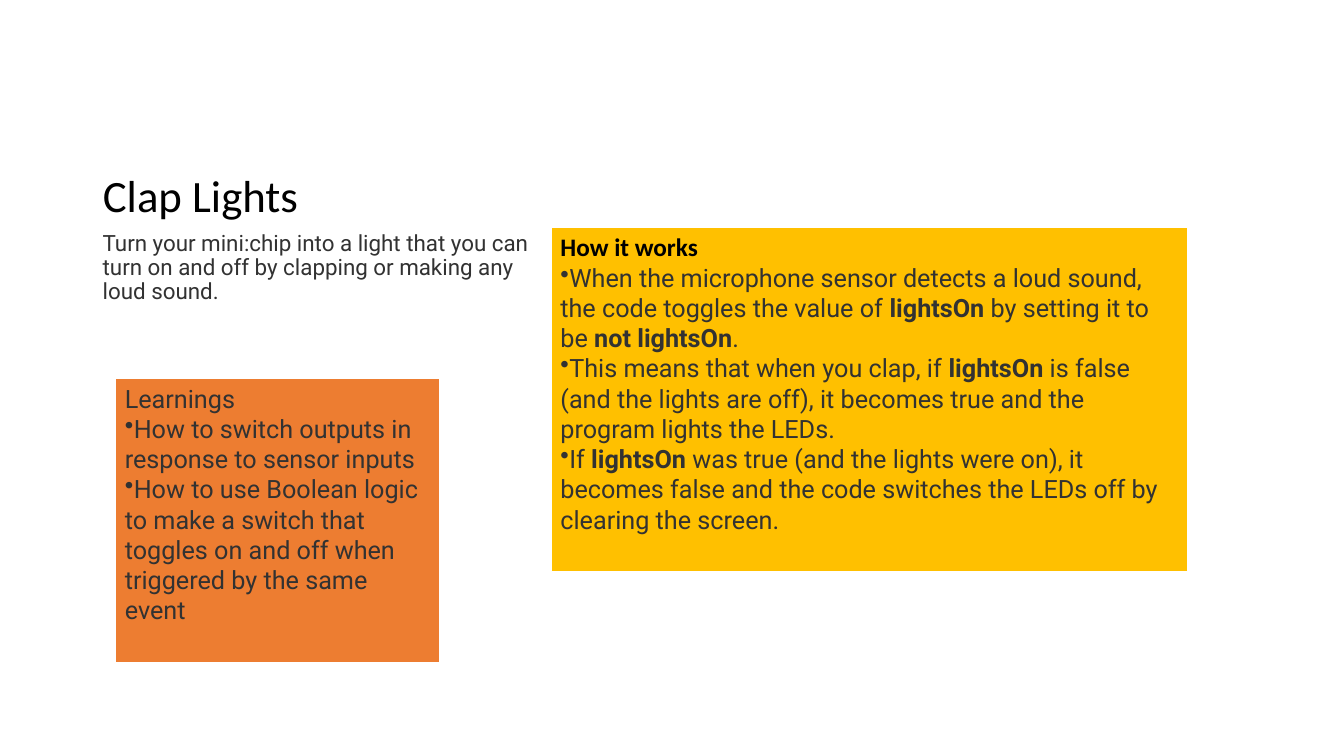
from pptx import Presentation
from pptx.dml.color import RGBColor
from pptx.enum.shapes import MSO_SHAPE
from pptx.enum.text import MSO_ANCHOR, MSO_AUTO_SIZE, PP_ALIGN
from pptx.oxml.ns import qn
from pptx.util import Pt
from lxml import etree

RECTANGLE = MSO_SHAPE.RECTANGLE
TOP, BOTTOM = MSO_ANCHOR.TOP, MSO_ANCHOR.BOTTOM
NO_AUTOFIT = MSO_AUTO_SIZE.NONE
LEFT = PP_ALIGN.LEFT

EMU_PER_PX = 9144  # 100 px to the inch
TITLE_ONLY = 5
HEADING_FONT, BODY_FONT = "Calibri", "Roboto"
BLACK, DARK_GREY, WHITE = "000000", "323232", "FFFFFF"
ORANGE, YELLOW = "ED7D31", "FFC000"

LEARNINGS = [
    "How to switch outputs in response to sensor inputs",
    "How to use Boolean logic to make a switch that toggles on and off "
    "when triggered by the same event",
]
HOW_IT_WORKS = [
    "When the microphone sensor detects a loud sound, the code toggles "
    "the value of **lightsOn** by setting it to be **not lightsOn**.",
    "This means that when you clap, if **lightsOn** is false (and the lights "
    "are off), it becomes true and the program lights the LEDs.",
    "If **lightsOn** was true (and the lights were on), it becomes false "
    "and the code switches the LEDs off by clearing the screen.",
]


def px(length):
    return length * EMU_PER_PX


def color(hex_string):
    return RGBColor.from_string(hex_string)


class SlideBuilder:
    def __init__(self, presentation):
        self.slide = presentation.slides.add_slide(presentation.slide_layouts[TITLE_ONLY])

    def style(self, paragraph, font_name, size, hex_color, line_spacing=1.0):
        paragraph.alignment = LEFT
        paragraph.line_spacing = line_spacing
        paragraph.font.name = font_name
        paragraph.font.size = Pt(size)
        paragraph.font.color.rgb = color(hex_color)

    def prepare_frame(self, shape, anchor):
        frame = shape.text_frame
        frame.word_wrap = True
        frame.auto_size = NO_AUTOFIT
        frame.vertical_anchor = anchor
        return frame

    def title(self, text, left, top, width, height):
        shape = self.slide.shapes.title
        shape.left, shape.top = px(left), px(top)
        shape.width, shape.height = px(width), px(height)
        frame = self.prepare_frame(shape, BOTTOM)
        frame.text = text
        self.style(frame.paragraphs[0], HEADING_FONT, 32, BLACK, 0.9)

    def text(self, text, left, top, width, height):
        shape = self.slide.shapes.add_textbox(px(left), px(top), px(width), px(height))
        frame = self.prepare_frame(shape, TOP)
        frame.text = text
        self.style(frame.paragraphs[0], BODY_FONT, 16, DARK_GREY, 0.9)

    def bullet(self, frame, text):
        """Add a bulleted paragraph; words between ** marks are bold."""
        paragraph = frame.add_paragraph()
        properties = paragraph._p.get_or_add_pPr()
        properties.set("marL", "0")
        properties.set("indent", "0")
        etree.SubElement(properties, qn("a:buChar")).set("char", "•")
        self.style(paragraph, BODY_FONT, 18, DARK_GREY)
        for index, part in enumerate(text.split("**")):
            run = paragraph.add_run()
            run.text = part
            if index % 2:
                run.font.bold = True

    def panel(self, heading, bullets, left, top, width, height, fill,
              heading_font, heading_color, bold):
        shape = self.slide.shapes.add_shape(
            RECTANGLE, px(left), px(top), px(width), px(height))
        shape.shadow.inherit = False
        shape.fill.solid()
        shape.fill.fore_color.rgb = color(fill)
        shape.line.color.rgb = color(WHITE)
        shape.line.width = Pt(1.5)
        frame = self.prepare_frame(shape, TOP)
        frame.text = heading
        self.style(frame.paragraphs[0], heading_font, 18, heading_color)
        frame.paragraphs[0].font.bold = bold
        for text in bullets:
            self.bullet(frame, text)


def main():
    presentation = Presentation()
    presentation.slide_width, presentation.slide_height = px(1333), px(750)
    builder = SlideBuilder(presentation)
    builder.title("Clap Lights", 92, 50, 430, 175)
    builder.text("Turn your mini:chip into a light that you can turn on and off "
                 "by clapping or making any loud sound.", 92, 225, 468, 104)
    builder.panel("Learnings", LEARNINGS, 114, 375, 323, 283, ORANGE,
                  BODY_FONT, DARK_GREY, False)
    builder.panel("How it works", HOW_IT_WORKS, 546, 225, 632, 343, YELLOW,
                  HEADING_FONT, BLACK, True)
    presentation.save("out.pptx")


if __name__ == "__main__":
    main()
